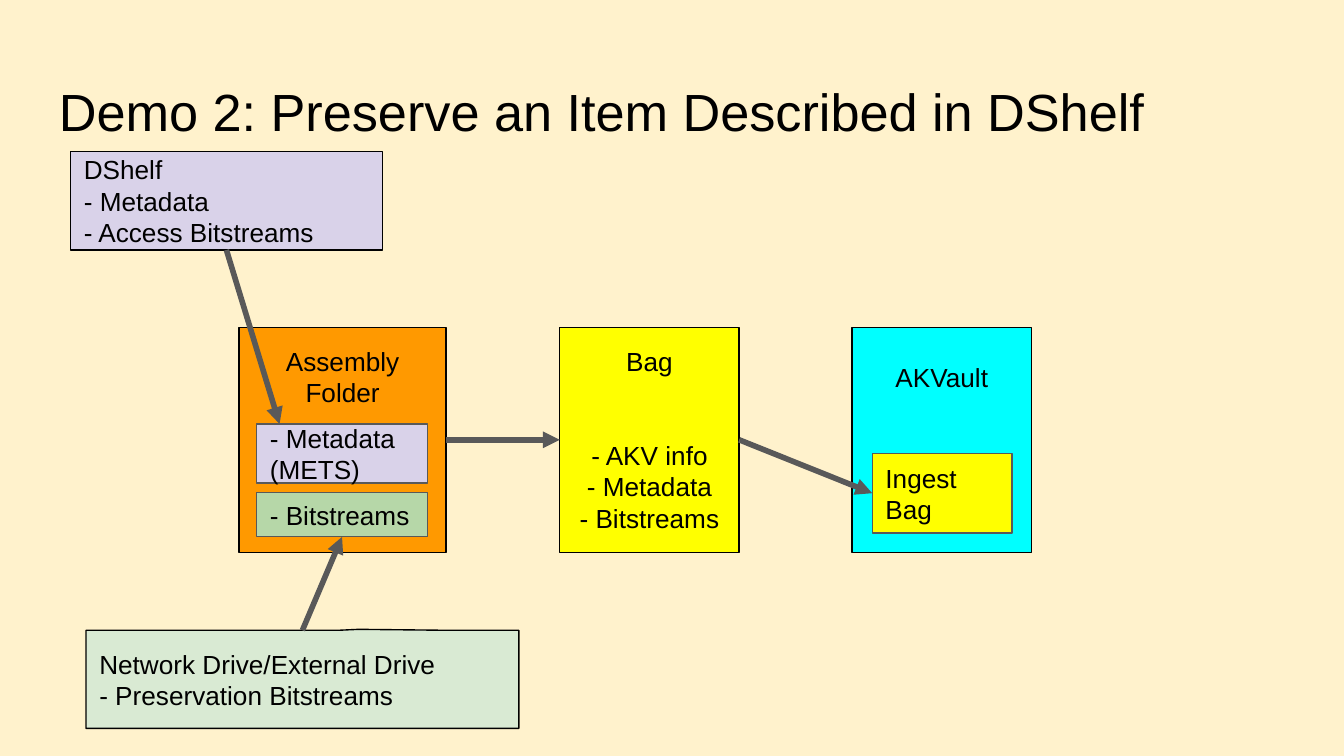
from pptx import Presentation
from pptx.dml.color import RGBColor
from pptx.enum.shapes import MSO_CONNECTOR, MSO_SHAPE
from pptx.enum.text import MSO_ANCHOR, PP_ALIGN
from pptx.oxml.ns import qn
from pptx.util import Inches, Pt
from lxml import etree

RECT, CALLOUT = MSO_SHAPE.RECTANGLE, MSO_SHAPE.RECTANGULAR_CALLOUT
STRAIGHT = MSO_CONNECTOR.STRAIGHT
TOP, MIDDLE = MSO_ANCHOR.TOP, MSO_ANCHOR.MIDDLE
LEFT, CENTER = PP_ALIGN.LEFT, PP_ALIGN.CENTER
SIDE_TOP, SIDE_LEFT, SIDE_BOTTOM, SIDE_RIGHT = range(4)

COLORS = {
    "page": "FFF2CC", "text": "000000", "edge": "000000", "arrow": "595959",
    "orange": "FF9900", "yellow": "FFFF00", "cyan": "00FFFF",
    "lilac": "D9D2E9", "mint": "D9EAD3", "green": "B6D7A8",
}
FONT = "Arial"
CELL = Inches(0.1)  # square grid: 100 columns by 56.25 rows
COLUMNS, ROWS = 100, 56.25


def cells(*counts):
    return [round(count * CELL) for count in counts]


def color(name):
    return RGBColor.from_string(COLORS[name])


def write(shape, text, size=14, align=LEFT, anchor=MIDDLE, top=1):
    """Fill a shape with text; top is the upper inset in cells."""
    frame = shape.text_frame
    frame.word_wrap = True
    frame.vertical_anchor = anchor
    frame.margin_left = frame.margin_right = frame.margin_bottom = CELL
    frame.margin_top = round(top * CELL)
    frame.text = text
    for para in frame.paragraphs:
        para.alignment = align
        for span in para.runs:
            span.font.name = FONT
            span.font.size = Pt(size)
            span.font.color.rgb = color("text")


def add_box(page, box, fill, text, edge="edge", kind=RECT, **style):
    shape = page.shapes.add_shape(kind, *cells(*box))
    shape.shadow.inherit = False
    shape.fill.solid()
    shape.fill.fore_color.rgb = color(fill)
    shape.line.color.rgb = color(edge)
    shape.line.width = Pt(0.75)
    write(shape, text, **style)
    return shape


def add_arrow(page, start, start_side, end=None, end_side=None, point=(0, 0)):
    """Arrow from a side of one box to a side of another, or to a point."""
    arrow = page.shapes.add_connector(STRAIGHT, 0, 0, *cells(*point))
    arrow.begin_connect(start, start_side)
    if end is not None:
        arrow.end_connect(end, end_side)
    arrow.line.color.rgb = color("arrow")
    arrow.line.width = Pt(3)
    line = arrow._element.spPr.find(qn("a:ln"))
    etree.SubElement(line, qn("a:tailEnd"), type="triangle")
    etree.SubElement(arrow._element.spPr, qn("a:effectLst"))


def add_title(page, box):
    title = page.shapes.add_textbox(*cells(*box))
    write(title, "Demo 2: Preserve an Item Described in DShelf", size=28, anchor=TOP)


def add_source(page, box, fill, text, tip):
    """Callout naming where the content comes from."""
    source = add_box(page, box, fill, text, kind=CALLOUT)
    source.adjustments[0], source.adjustments[1] = tip
    return source


def add_assembly(page, box):
    """Folder with its two parts stacked inside."""
    left, top, width, _ = box
    folder = add_box(page, box, "orange", "Assembly Folder",
                     align=CENTER, anchor=TOP, top=1.35)
    inner_left, inner_width = left + 1.3, width - 2.7
    add_box(page, (inner_left, top + 7.2, inner_width, 4.4),
            "lilac", "- Metadata (METS)", "arrow")
    bitstreams = add_box(page, (inner_left, top + 12.3, inner_width, 3.3),
                         "green", "- Bitstreams", "arrow")
    return folder, bitstreams


def add_bag(page, box):
    bag = add_box(page, box, "yellow",
                  "Bag\n- AKV info\n- Metadata\n- Bitstreams",
                  align=CENTER, anchor=TOP, top=1.35)
    bag.text_frame.paragraphs[1].space_before = Pt(33.6)
    return bag


def add_archive(page, box):
    """Archive with the ingested bag inside."""
    left, top, width, _ = box
    add_box(page, box, "cyan", "AKVault", align=CENTER, anchor=TOP, top=2.55)
    return add_box(page, (left + 1.5, top + 9.4, width - 2.95, 5.9),
                   "yellow", "Ingest\nBag", "arrow")


def main():
    deck = Presentation()
    deck.slide_width, deck.slide_height = cells(COLUMNS, ROWS)
    page = deck.slides.add_slide(deck.slide_layouts[6])
    page.background.fill.solid()
    page.background.fill.fore_color.rgb = color("page")
    add_title(page, (3.4, 4.9, 93.2, 6.3))

    # Main row: folder, bag, archive
    row_top, row_height = 24.35, 16.75
    folder, bitstreams = add_assembly(page, (17.8, row_top, 15.4, row_height))
    bag = add_bag(page, (41.65, row_top, 13.35, row_height))
    ingest = add_archive(page, (63.4, row_top, 13.35, row_height))

    # Content sources above and below the row
    repository = add_source(page, (5.25, 11.3, 23.2, 7.3), "lilac",
                            "DShelf\n- Metadata\n- Access Bitstreams", (0.24, 0.5))
    drive = add_source(page, (6.4, 46.9, 32.2, 7.3), "mint",
                       "Network Drive/External Drive\n- Preservation Bitstreams",
                       (0.13, -0.51))

    # Flow
    add_arrow(page, folder, SIDE_RIGHT, bag, SIDE_LEFT)
    add_arrow(page, bag, SIDE_RIGHT, ingest, SIDE_LEFT)
    add_arrow(page, repository, SIDE_BOTTOM, point=(20.8, row_top + 7.2))
    add_arrow(page, drive, SIDE_TOP, bitstreams, SIDE_BOTTOM)

    deck.save("out.pptx")


if __name__ == "__main__":
    main()
